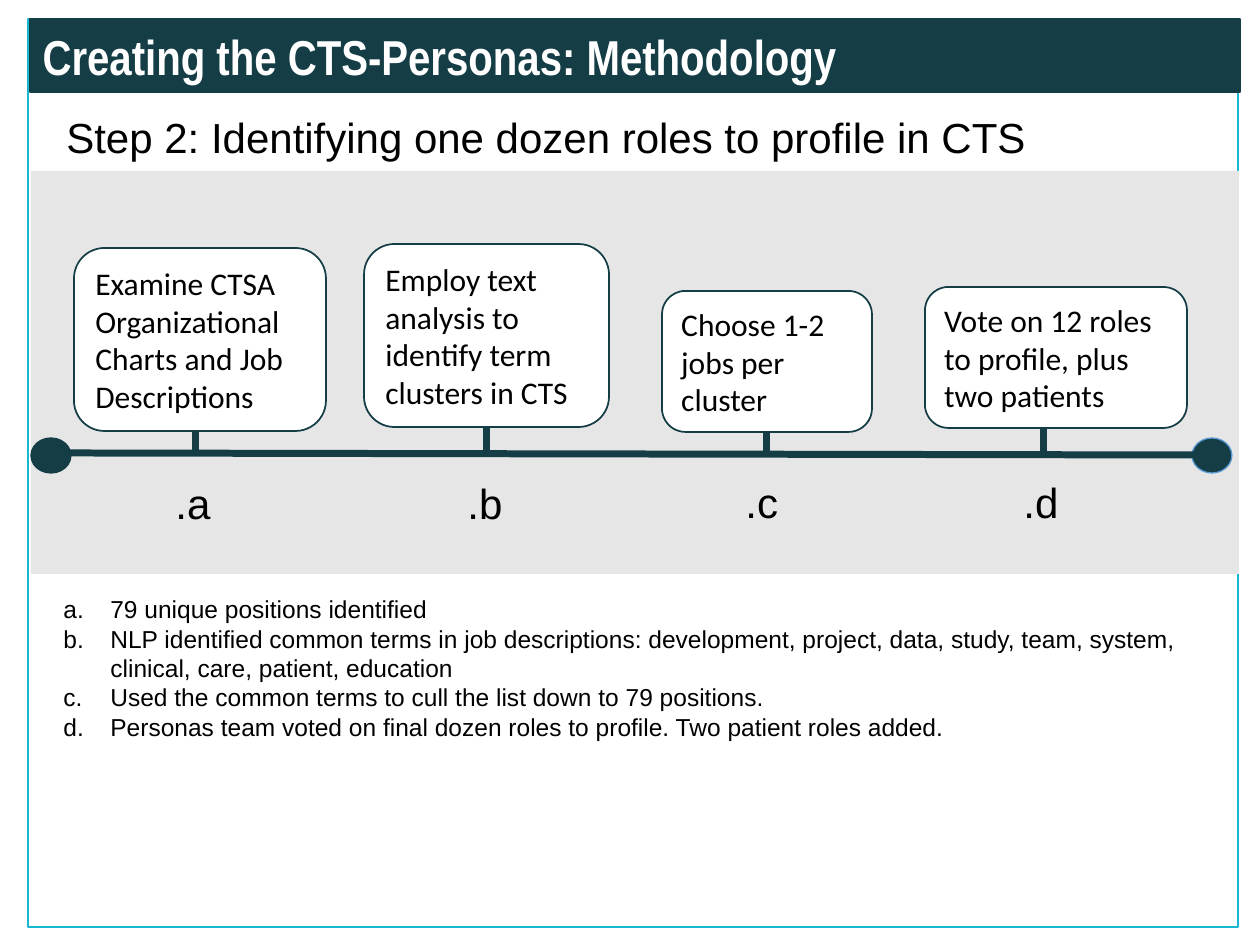
from dataclasses import dataclass

from lxml import etree
from pptx import Presentation
from pptx.dml.color import RGBColor
from pptx.enum.shapes import MSO_CONNECTOR, MSO_SHAPE
from pptx.enum.text import MSO_ANCHOR, PP_ALIGN
from pptx.oxml.ns import qn
from pptx.util import Pt

RECT, ROUNDED, OVAL = MSO_SHAPE.RECTANGLE, MSO_SHAPE.ROUNDED_RECTANGLE, MSO_SHAPE.OVAL
STRAIGHT = MSO_CONNECTOR.STRAIGHT
LEFT, TOP, MIDDLE = PP_ALIGN.LEFT, MSO_ANCHOR.TOP, MSO_ANCHOR.MIDDLE

EMU_PER_PX = 914400 / 126
COLORS = {
    "teal": "143D45",
    "frame": "19B8D2",
    "band": "E7E6E6",
    "end_line": "5B9BD5",
    "white": "FFFFFF",
    "black": "000000",
}


@dataclass(frozen=True)
class Box:
    left: int
    top: int
    width: int
    height: int


@dataclass(frozen=True)
class Step:
    text: str
    box: Box
    stem_x: int
    stem_end: int
    letter: str
    label_left: int
    label_top: int


STEPS = [
    Step("Examine CTSA Organizational Charts and Job Descriptions",
         Box(74, 248, 252, 183), 196, 454, "a", 163, 471),
    Step("Employ text analysis to identify term clusters in CTS",
         Box(364, 244, 245, 183), 487, 453, "b", 455, 471),
    Step("Choose 1-2 jobs per cluster",
         Box(662, 291, 210, 141), 767, 455, "c", 733, 470),
    Step("Vote on 12 roles to profile, plus two patients",
         Box(925, 287, 262, 141), 1044, 455, "d", 1011, 470),
]
FINDINGS = [
    "79 unique positions identified",
    "NLP identified common terms in job descriptions: development, project, data, "
    "study, team, system, clinical, care, patient, education",
    "Used the common terms to cull the list down to 79 positions.",
    "Personas team voted on final dozen roles to profile. Two patient roles added.",
]


def px(n: int) -> int:
    return round(n * EMU_PER_PX)


def place(box: Box) -> tuple[int, int, int, int]:
    return px(box.left), px(box.top), px(box.width), px(box.height)


def rgb(name: str) -> RGBColor:
    return RGBColor.from_string(COLORS[name])


def write(shape, lines: list[str], size: int, font: str = "Arial",
          color: str = "black", bold: bool = False, anchor=TOP) -> None:
    tf = shape.text_frame
    tf.word_wrap = True
    tf.vertical_anchor = anchor
    tf.text = "\n".join(lines)
    for p in tf.paragraphs:
        p.alignment = LEFT
        p.font.name, p.font.size, p.font.bold = font, Pt(size), bold
        p.font.color.rgb = rgb(color)


def add_text(s, box: Box, lines: list[str], size: int):
    tb = s.shapes.add_textbox(*place(box))
    write(tb, lines, size)
    return tb


def add_box(s, kind, box: Box, fill: str | None = None,
            line: str | None = None, weight: float = 0.75):
    sp = s.shapes.add_shape(kind, *place(box))
    sp.shadow.inherit = False
    if fill:
        sp.fill.solid()
        sp.fill.fore_color.rgb = rgb(fill)
    else:
        sp.fill.background()
    if line:
        sp.line.color.rgb = rgb(line)
        sp.line.width = Pt(weight)
    else:
        sp.line.fill.background()
    return sp


def add_line(s, x1: int, y1: int, x2: int, y2: int) -> None:
    cn = s.shapes.add_connector(STRAIGHT, px(x1), px(y1), px(x2), px(y2))
    cn.line.color.rgb = rgb("teal")
    cn.line.width = Pt(4)
    etree.SubElement(cn.element.spPr, qn("a:effectLst"))


def letter_paragraphs(shape, indent: int) -> None:
    for p in shape.text_frame.paragraphs:
        pPr = p._p.get_or_add_pPr()
        pPr.set("marL", str(px(indent)))
        pPr.set("indent", str(-px(indent)))
        number = etree.Element(qn("a:buAutoNum"), type="alphaLcPeriod")
        pPr.insert(0, number)


def main() -> None:
    prs = Presentation()
    prs.slide_width, prs.slide_height = px(1260), px(945)
    s = prs.slides.add_slide(prs.slide_layouts[5])

    # Frame and title banner
    add_box(s, RECT, Box(28, 19, 1210, 908), line="frame")
    add_box(s, RECT, Box(30, 19, 1210, 73), "teal", "teal")
    title = s.shapes.title
    title.left, title.top, title.width, title.height = place(Box(30, 20, 1178, 72))
    write(title, ["Creating the CTS-Personas: Methodology"], 28,
          "Arial Narrow", "white", True)
    s.shapes.element.append(title.element)  # in front of the banner
    add_text(s, Box(54, 105, 1186, 63),
             ["Step 2: Identifying one dozen roles to profile in CTS"], 24)

    # Timeline
    add_box(s, RECT, Box(31, 171, 1208, 403), "band")
    add_box(s, OVAL, Box(31, 438, 40, 35), "teal", "teal")
    add_box(s, OVAL, Box(1192, 438, 40, 35), "teal", "end_line")
    add_line(s, 67, 453, 1196, 455)

    # Steps with their stems and letters
    for step in STEPS:
        add_line(s, step.stem_x, step.box.top + step.box.height,
                 step.stem_x, step.stem_end)
        card = add_box(s, ROUNDED, step.box, "white", "teal", 1)
        write(card, [step.text], 18, "Calibri", anchor=MIDDLE)
        add_text(s, Box(step.label_left, step.label_top, 68, 63),
                 [f".{step.letter}"], 24)

    # Findings
    findings = add_text(s, Box(51, 588, 1176, 161), FINDINGS, 14)
    letter_paragraphs(findings, 47)

    prs.save("out.pptx")


if __name__ == "__main__":
    main()
